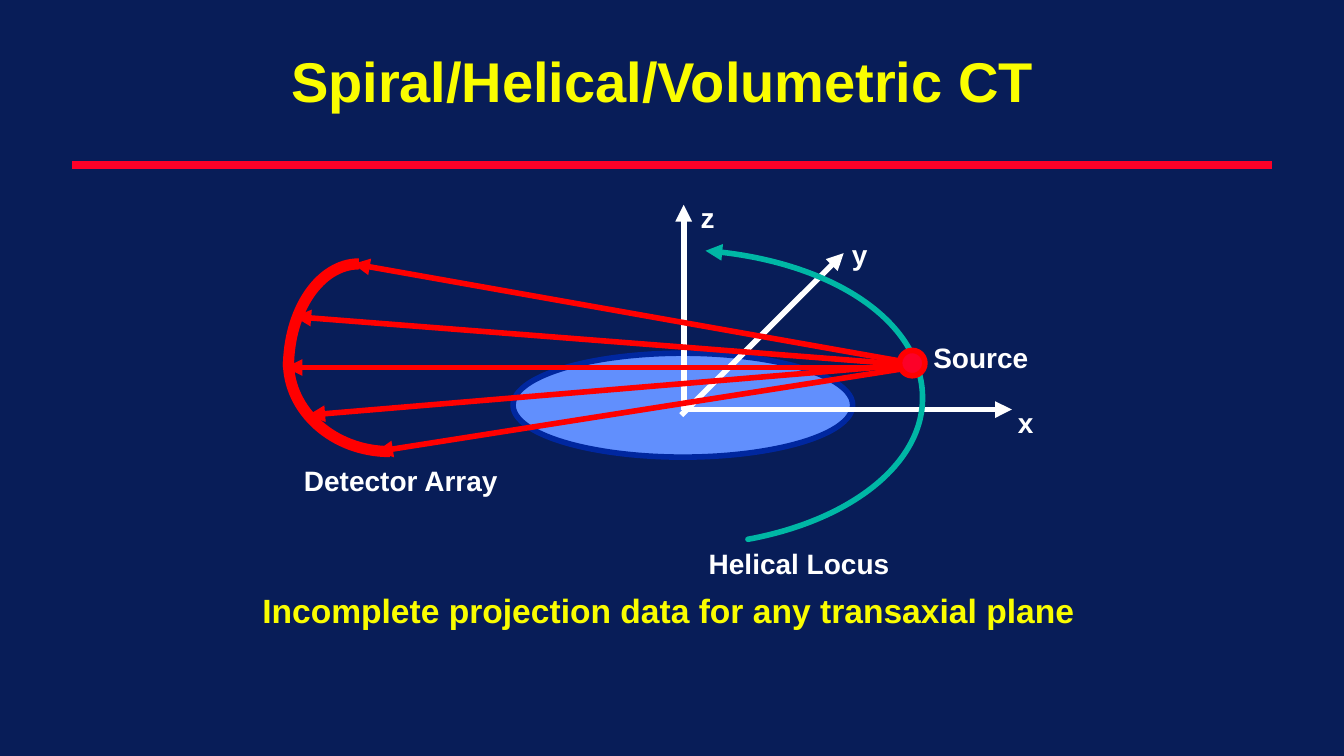
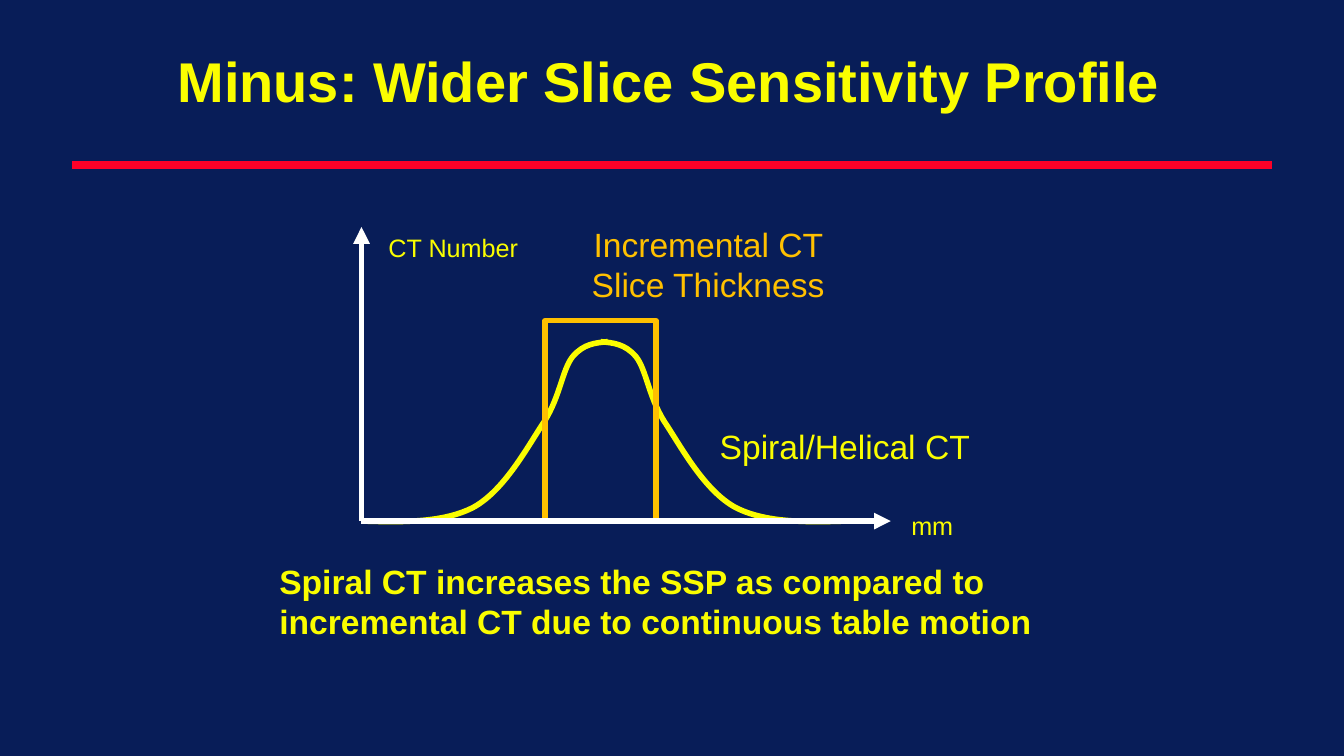
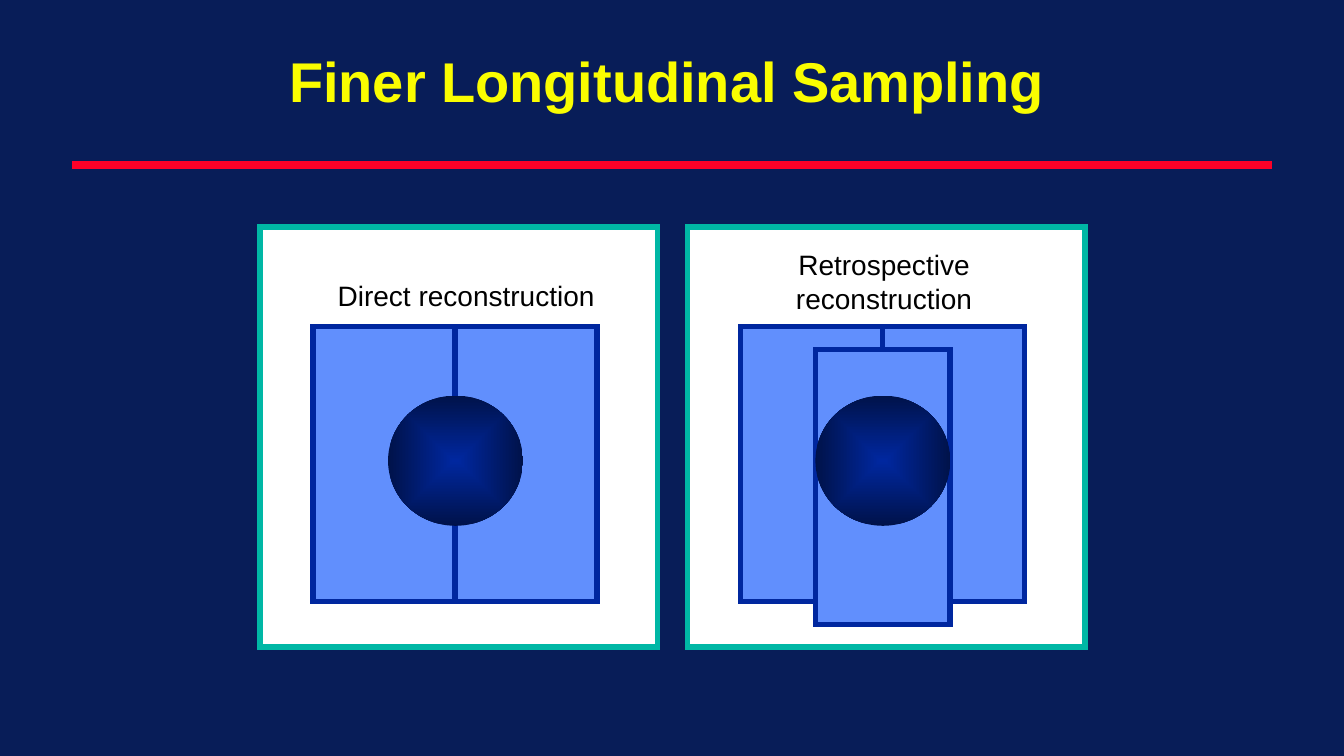
"""Build three slides on spiral CT: geometry, slice profile and sampling."""
from lxml import etree
from pptx import Presentation
from pptx.dml.color import RGBColor
from pptx.enum.shapes import MSO_CONNECTOR, MSO_SHAPE
from pptx.enum.text import MSO_ANCHOR, MSO_AUTO_SIZE, PP_ALIGN
from pptx.oxml.ns import qn
from pptx.util import Cm, Pt

RECT, OVAL = MSO_SHAPE.RECTANGLE, MSO_SHAPE.OVAL
STRAIGHT = MSO_CONNECTOR.STRAIGHT
LEFT, CENTER = PP_ALIGN.LEFT, PP_ALIGN.CENTER
MIDDLE, GROW = MSO_ANCHOR.MIDDLE, MSO_AUTO_SIZE.SHAPE_TO_FIT_TEXT
rgb = RGBColor.from_string

FONT = "Arial"
NAVY, YELLOW, CRIMSON, RED = "081D58", "FAFD00", "FC0128", "FF0000"
WHITE, BLACK, TEAL, ORANGE = "FFFFFF", "000000", "00B7A5", "FFC000"
SKY, BLUE, DARK = "618FFD", "00279F", "00124A"


def add_stroke(s, pts, color, width=4, arrow=True):
    """Draw two points as a connector, or a chain of cubic curves as a freeform."""
    if len(pts) == 2:
        (x1, y1), (x2, y2) = pts
        sp = s.shapes.add_connector(STRAIGHT, Cm(x1), Cm(y1), Cm(x2), Cm(y2))
    else:
        start, *rest = [(Cm(x), Cm(y)) for x, y in pts]
        builder = s.shapes.build_freeform(*start)
        builder.add_line_segments(rest, close=False)
        sp = builder.convert_to_shape()
        sp.fill.background()
        segments = list(sp.element.iter(qn("a:lnTo")))
        outline = segments[0].getparent()
        for i in range(0, len(segments), 3):
            cubic = etree.SubElement(outline, qn("a:cubicBezTo"))
            for segment in segments[i:i + 3]:
                cubic.append(segment[0])
                outline.remove(segment)
    sp.line.color.rgb = rgb(color)
    sp.line.width = Pt(width)
    spPr = sp.element.spPr
    if arrow:
        etree.SubElement(spPr.find(qn("a:ln")), qn("a:tailEnd"), type="triangle")
    etree.SubElement(spPr, qn("a:effectLst"))
    return sp


def add_box(s, kind, x, y, w, h, fill=None, line=None):
    """Add a preset shape with a plain fill and outline."""
    sp = s.shapes.add_shape(kind, Cm(x), Cm(y), Cm(w), Cm(h))
    sp.shadow.inherit = False
    if fill:
        sp.fill.solid()
        sp.fill.fore_color.rgb = rgb(fill)
    else:
        sp.fill.background()
    if line:
        sp.line.color.rgb = rgb(line)
        sp.line.width = Pt(4)
        if fill and kind == RECT:
            etree.SubElement(sp.element.spPr.find(qn("a:ln")), qn("a:miter"), lim="800000")
    else:
        sp.line.fill.background()
    return sp


prs = Presentation()
prs.slide_width, prs.slide_height = Cm(33.87), Cm(19.05)
layout = prs.slide_layouts[5]
bg = prs.slide_master.background.fill
bg.solid()
bg.fore_color.rgb = rgb(NAVY)

slides = []
for text, left, width in [
    ("Spiral/Helical/Volumetric CT", 7.06, 19.25),
    ("Minus: Wider Slice Sensitivity Profile", 4.16, 25.37),
    ("Finer Longitudinal Sampling", 7.01, 19.58),
]:
    s = prs.slides.add_slide(layout)
    title = s.shapes.title
    title.left, title.top, title.width, title.height = Cm(left), Cm(1.32), Cm(width), Cm(1.65)
    tf = title.text_frame
    tf.margin_left = tf.margin_right = Cm(0.18)
    tf.margin_top = tf.margin_bottom = Cm(0.08)
    tf.word_wrap, tf.auto_size, tf.vertical_anchor = False, GROW, MIDDLE
    p = tf.paragraphs[0]
    p.alignment, p.line_spacing = CENTER, 0.88
    r = p.add_run()
    r.text = text
    r.font.name, r.font.size, r.font.bold = FONT, Pt(40), True
    r.font.color.rgb = rgb(YELLOW)
    slides.append(s)
geometry, profile, sampling = slides

rule = add_stroke(geometry, [(1.81, 4.16), (32.05, 4.16)], CRIMSON, 6, False)
prs.slide_master.shapes.element.append(rule.element)

add_box(geometry, OVAL, 12.93, 8.9, 8.56, 2.62, SKY, BLUE)
for start, end in [
    ((17.23, 10.32), (25.5, 10.32)),
    ((17.17, 10.46), (21.26, 6.38)),
    ((17.23, 10.32), (17.23, 5.16)),
]:
    add_stroke(geometry, [start, end], WHITE)
helix = [(18.85, 13.59), (21.46, 13.11), (23.25, 11.68), (23.25, 10.03),
         (23.25, 8.15), (20.9, 6.55), (17.78, 6.32)]
locus = add_stroke(geometry, helix, TEAL)
locus.element.spPr.find(qn("a:ln")).set("cap", "rnd")
for start, end in [
    ((22.96, 9.26), (7.2, 9.26)),
    ((22.81, 9.12), (8.9, 6.65)),
    ((22.96, 9.26), (9.48, 11.38)),
    ((22.89, 9.19), (7.42, 7.98)),
    ((22.89, 9.19), (7.77, 10.46)),
]:
    add_stroke(geometry, [start, end], RED)
for arc in [
    [(7.27, 9.27), (7.27, 7.82), (8.06, 6.65), (9.05, 6.65)],
    [(9.83, 11.38), (8.41, 11.38), (7.27, 10.36), (7.27, 9.12)],
]:
    add_stroke(geometry, arc, RED, 8, False)
add_box(geometry, OVAL, 22.67, 8.83, 0.64, 0.64, CRIMSON, RED)

add_stroke(profile, [(9.11, 13.13), (9.11, 5.72)], WHITE)
rise = [(9.11, 13.13), (10.13, 13.16), (11.18, 13.18), (11.94, 12.78),
        (12.73, 12.34), (13.31, 11.23), (13.72, 10.62),
        (14.12, 9.98), (14.17, 9.32), (14.43, 8.99),
        (14.71, 8.66), (15.01, 8.64), (15.32, 8.61)]
fall = [(30.46 - x, y) for x, y in rise]
for half in (rise, fall):
    add_stroke(profile, half, YELLOW, arrow=False)
add_box(profile, RECT, 13.74, 8.08, 2.79, 5.05, line=ORANGE)
add_stroke(profile, [(9.11, 13.13), (22.45, 13.13)], WHITE)

for x, retrospective in [(6.56, False), (17.33, True)]:
    add_box(sampling, RECT, x, 5.72, 10.01, 10.59, WHITE, TEAL)
    for i in range(2):
        add_box(sampling, RECT, x + 1.33 + 3.58 * i, 8.23, 3.58, 6.93, SKY, BLUE)
    if retrospective:
        add_box(sampling, RECT, x + 3.22, 8.81, 3.4, 6.93, SKY, BLUE)
    ball = add_box(sampling, OVAL, x + 3.22, 9.97, 3.4, 3.28)
    ball.fill.gradient()
    for stop, color in zip(ball.fill.gradient_stops, (BLUE, DARK)):
        stop.color.rgb = rgb(color)
    grad = ball.element.spPr.find(qn("a:gradFill"))
    grad.remove(grad.find(qn("a:lin")))
    focus = etree.SubElement(grad, qn("a:path"), path="shape")
    etree.SubElement(focus, qn("a:fillToRect"), l="50000", t="50000", r="50000", b="50000")

for s, x, y, w, h, lines, size, color, bold, align, wrap in [
    (geometry, 25.4, 10.19, 0.91, 1.02, ["x"], 20, WHITE, True, LEFT, False),
    (geometry, 21.22, 5.96, 0.91, 1.02, ["y"], 20, WHITE, True, LEFT, False),
    (geometry, 17.41, 5.03, 0.86, 1.02, ["z"], 20, WHITE, True, LEFT, False),
    (geometry, 23.27, 8.56, 2.92, 1.02, ["Source"], 20, WHITE, True, LEFT, False),
    (geometry, 17.61, 13.74, 5.13, 1.02, ["Helical Locus"], 20, WHITE, True, LEFT, False),
    (geometry, 7.41, 11.66, 5.44, 1.02, ["Detector Array"], 20, WHITE, True, LEFT, False),
    (geometry, 6.36, 14.85, 21.84, 1.17,
     ["Incomplete projection data for any transaxial plane"], 24, YELLOW, True, LEFT, True),
    (profile, 6.79, 14, 19.63, 2.31,
     ["Spiral CT increases the SSP as compared to",
      "incremental CT due to continuous table motion"], 24, YELLOW, True, LEFT, False),
    (profile, 22.71, 12.73, 1.57, 1.04, ["mm"], 18, YELLOW, False, CENTER, False),
    (profile, 17.85, 10.61, 6.88, 1.3, ["Spiral/Helical CT"], 24, YELLOW, False, CENTER, False),
    (profile, 14.06, 5.51, 7.57, 2.31,
     ["Incremental CT Slice Thickness"], 24, ORANGE, False, CENTER, True),
    (profile, 9.52, 5.72, 3.81, 1.04, ["CT Number"], 18, YELLOW, False, CENTER, False),
    (sampling, 8.22, 6.9, 7.06, 1.12,
     ["Direct reconstruction"], 20, BLACK, False, CENTER, False),
    (sampling, 19.78, 6.12, 5, 1.98,
     ["Retrospective", "reconstruction"], 20, BLACK, False, CENTER, False),
]:
    tf = s.shapes.add_textbox(Cm(x), Cm(y), Cm(w), Cm(h)).text_frame
    tf.word_wrap, tf.auto_size = wrap, GROW
    for i, line in enumerate(lines):
        p = tf.add_paragraph() if i else tf.paragraphs[0]
        p.alignment = align
        p.line_spacing = 0.9 if s is geometry else 1.0
        r = p.add_run()
        r.text = line
        r.font.name, r.font.size, r.font.bold = FONT, Pt(size), bold
        r.font.color.rgb = rgb(color)

prs.save("out.pptx")
